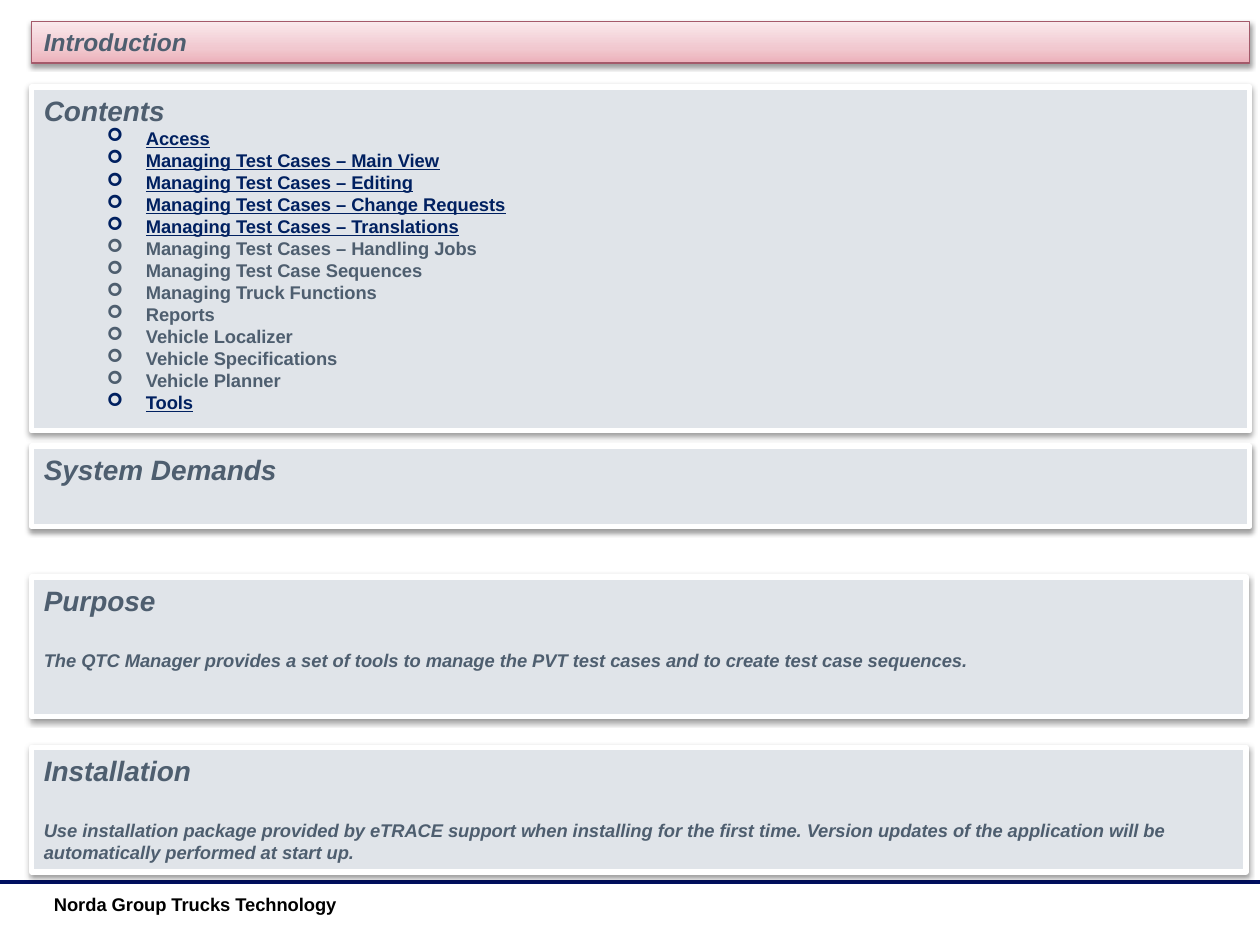
from dataclasses import dataclass

from lxml import etree
from pptx import Presentation
from pptx.dml.color import RGBColor
from pptx.enum.shapes import MSO_CONNECTOR, MSO_SHAPE
from pptx.enum.text import MSO_ANCHOR, PP_ALIGN
from pptx.oxml import parse_xml
from pptx.oxml.ns import nsdecls, qn
from pptx.util import Inches, Pt

RECTANGLE = MSO_SHAPE.RECTANGLE
STRAIGHT = MSO_CONNECTOR.STRAIGHT
TOP, MIDDLE = MSO_ANCHOR.TOP, MSO_ANCHOR.MIDDLE
LEFT = PP_ALIGN.LEFT


@dataclass(frozen=True)
class Theme:
    font: str = "Arial"
    text: str = "4E5E6F"
    link: str = "002060"
    footer: str = "000000"
    rule: str = "000F60"
    panel: str = "E0E4E9"
    panel_edge: str = "FFFFFF"
    banner_edge: str = "A45A6A"
    banner_stops: tuple = ((0, "ECB1BA"), (0.35, "F1C8CF"), (1, "FAE9EC"))
    heading_size: float = 16
    banner_size: float = 14
    body_size: float = 10.5


@dataclass(frozen=True)
class Panel:
    heading: str
    top: float
    width: float
    height: float
    body: str = ""
    topics: tuple = ()


@dataclass(frozen=True)
class Topic:
    label: str
    linked: bool = False


THEME = Theme()
PANEL_LEFT = 0.25
WIDE, NARROW = 9.67, 9.64

TOPICS = (
    Topic("Access", True),
    Topic("Managing Test Cases – Main View", True),
    Topic("Managing Test Cases – Editing", True),
    Topic("Managing Test Cases – Change Requests", True),
    Topic("Managing Test Cases – Translations", True),
    Topic("Managing Test Cases – Handling Jobs"),
    Topic("Managing Test Case Sequences"),
    Topic("Managing Truck Functions"),
    Topic("Reports"),
    Topic("Vehicle Localizer"),
    Topic("Vehicle Specifications"),
    Topic("Vehicle Planner"),
    Topic("Tools", True),
)

PANELS = (
    Panel("Contents", 0.69, WIDE, 2.73, topics=TOPICS),
    Panel("Installation", 5.93, NARROW, 0.99,
          "Use installation package provided by eTRACE support when installing "
          "for the first time. Version updates of the application will be "
          "automatically performed at start up."),
    Panel("System Demands", 3.54, WIDE, 0.64),
    Panel("Purpose", 4.58, NARROW, 1.11,
          "The QTC Manager provides a set of tools to manage the PVT test cases "
          "and to create test case sequences."),
)


def write(para, text: str, size: float, color: str = THEME.text, **extra) -> None:
    para.alignment = LEFT
    span = para.add_run()
    span.text = text
    settings = {"name": THEME.font, "size": Pt(size), "bold": True, **extra}
    for key, value in settings.items():
        setattr(span.font, key, value)
    span.font.color.rgb = RGBColor.from_string(color)


def add_bullet(para) -> None:
    properties = para._p.get_or_add_pPr()
    properties.set("marL", str(Inches(0.81)))
    properties.set("indent", str(Inches(-0.31)))
    properties.set("lvl", "1")
    etree.SubElement(properties, qn("a:buFont"), typeface="Wingdings")
    etree.SubElement(properties, qn("a:buChar"), char="➢")


def add_shadow(box) -> None:
    box.shadow.inherit = False
    effects = box._element.spPr.find(qn("a:effectLst"))
    effects.append(parse_xml(
        f'<a:outerShdw {nsdecls("a")} blurRad="{Pt(3.1)}" dist="{Pt(1.6)}" '
        'dir="5400000" rotWithShape="0"><a:srgbClr val="000000">'
        '<a:alpha val="38000"/></a:srgbClr></a:outerShdw>'))


def add_box(slide, top: float, width: float, height: float,
            edge: str, edge_width: float, anchor=TOP):
    box = slide.shapes.add_shape(RECTANGLE, Inches(PANEL_LEFT), Inches(top),
                                 Inches(width), Inches(height))
    box.line.color.rgb = RGBColor.from_string(edge)
    box.line.width = Pt(edge_width)
    add_shadow(box)
    box.text_frame.word_wrap = True
    box.text_frame.vertical_anchor = anchor
    return box


def add_panel(slide, panel: Panel) -> None:
    box = add_box(slide, panel.top, panel.width, panel.height, THEME.panel_edge, 3)
    box.fill.solid()
    box.fill.fore_color.rgb = RGBColor.from_string(THEME.panel)
    frame = box.text_frame
    write(frame.paragraphs[0], panel.heading, THEME.heading_size, italic=True)
    for topic in panel.topics:
        para = frame.add_paragraph()
        add_bullet(para)
        write(para, topic.label, THEME.body_size,
              THEME.link if topic.linked else THEME.text, underline=topic.linked)
    if panel.body:
        para = frame.add_paragraph()
        para.space_before = Pt(18.4)
        write(para, panel.body, THEME.body_size, italic=True)


def add_banner(slide, text: str) -> None:
    box = add_box(slide, 0.17, WIDE, 0.33, THEME.banner_edge, 0.75, MIDDLE)
    box.fill.gradient()
    box.fill.gradient_angle = 90
    stops = box._element.spPr.find(qn("a:gradFill")).find(qn("a:gsLst"))
    for stop in list(stops):
        stops.remove(stop)
    for position, color in THEME.banner_stops:
        stop = etree.SubElement(stops, qn("a:gs"), pos=str(round(position * 100000)))
        etree.SubElement(stop, qn("a:srgbClr"), val=color)
    write(box.text_frame.paragraphs[0], text, THEME.banner_size, italic=True)


def add_footer(slide, text: str) -> None:
    rule = slide.shapes.add_connector(STRAIGHT, 0, Inches(7), Inches(10), Inches(7))
    rule.line.color.rgb = RGBColor.from_string(THEME.rule)
    rule.line.width = Pt(2)
    etree.SubElement(rule._element.spPr, qn("a:effectLst"))
    box = slide.shapes.add_textbox(Inches(0.33), Inches(7.04), Inches(5.18), Inches(0.22))
    box.text_frame.word_wrap = False
    write(box.text_frame.paragraphs[0], text, THEME.body_size, THEME.footer)


def main() -> None:
    deck = Presentation()
    deck.slide_width, deck.slide_height = Inches(10), Inches(7.5)
    page = deck.slides.add_slide(deck.slide_layouts[6])

    # Footer lies behind the panels
    add_footer(page, "Norda Group Trucks Technology")

    # Title banner and content panels
    add_banner(page, "Introduction")
    for panel in PANELS:
        add_panel(page, panel)

    deck.save("out.pptx")


if __name__ == "__main__":
    main()
